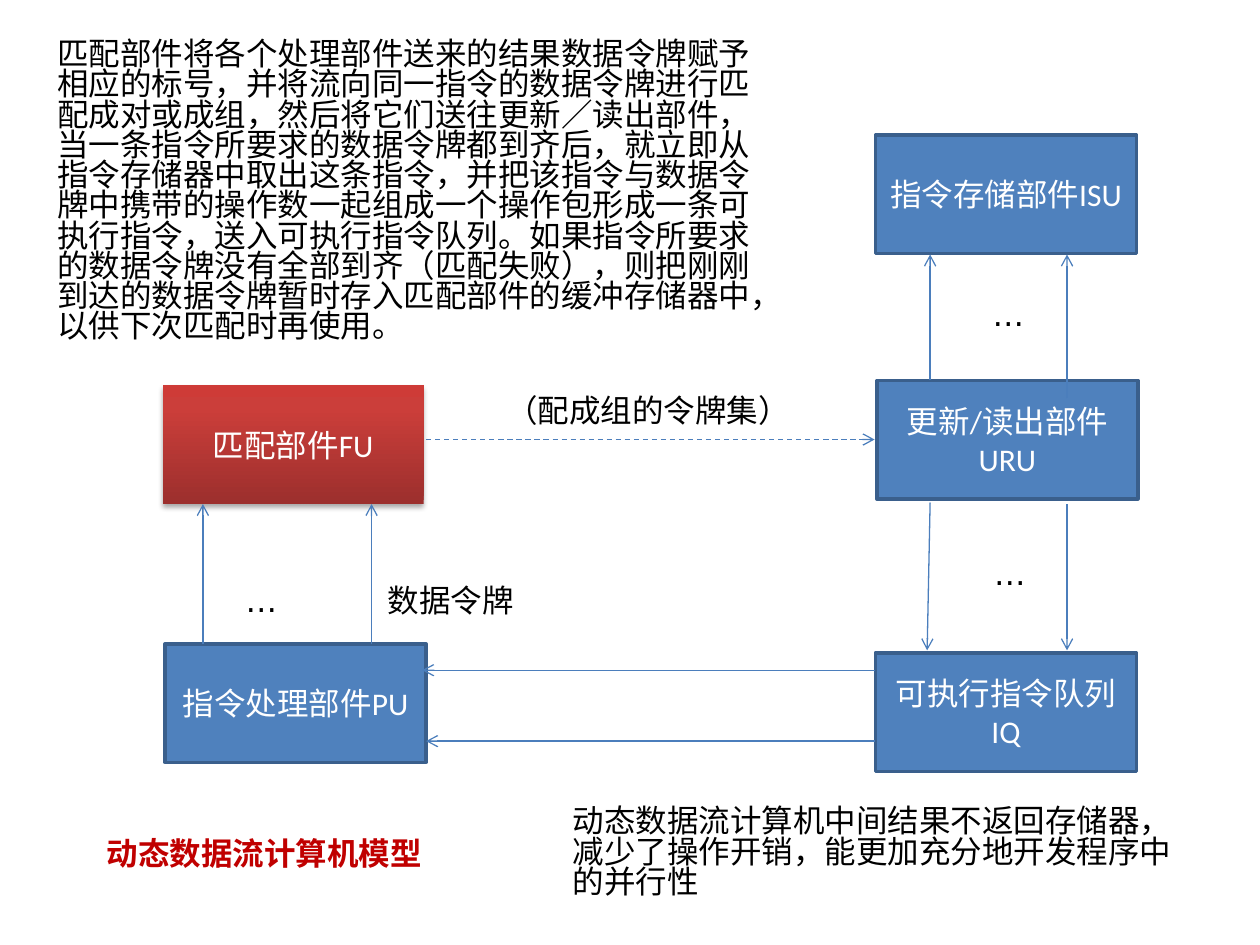
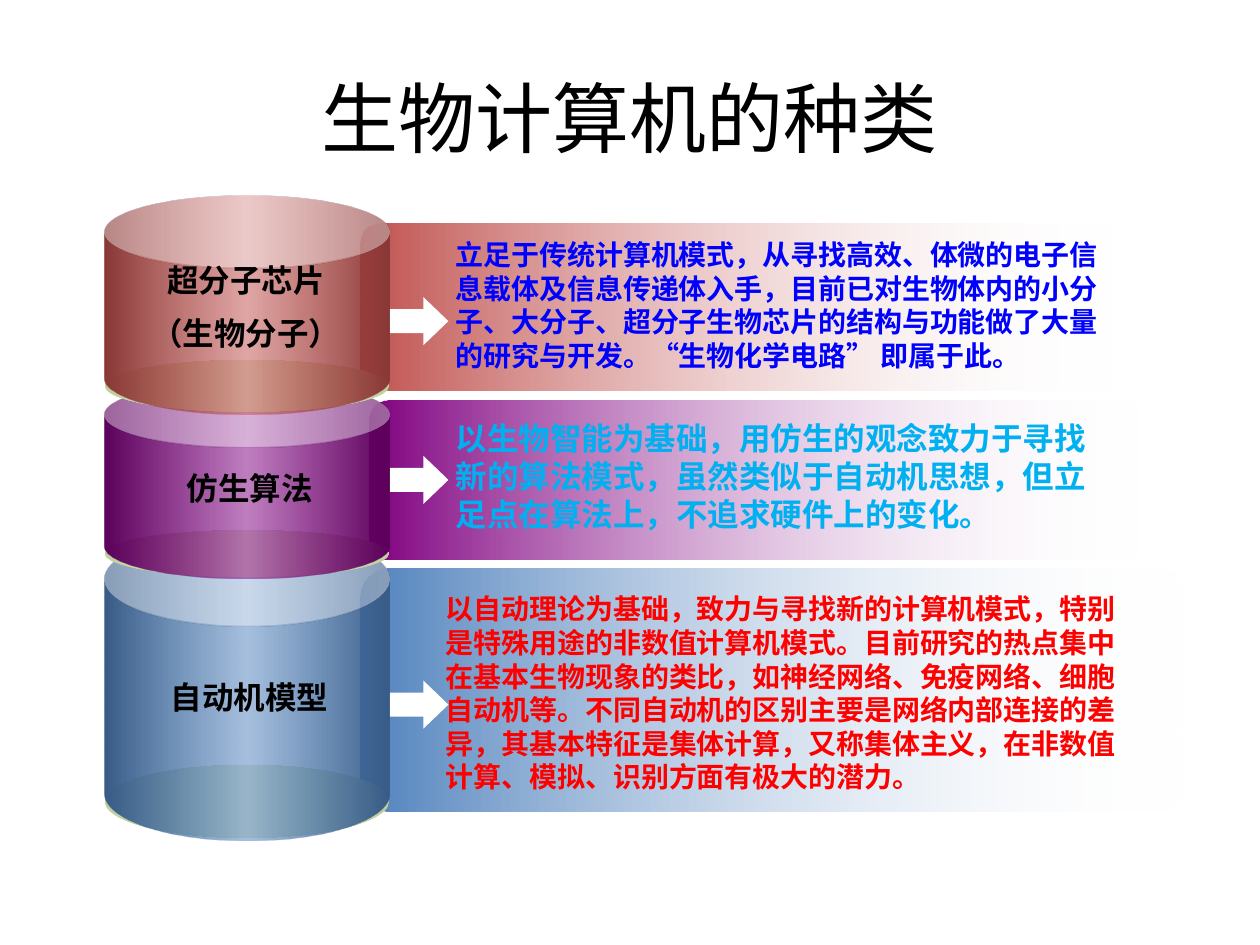
from dataclasses import dataclass
from typing import Any, NamedTuple, Optional

import lxml.etree
import pptx
import pptx.dml.color
import pptx.enum.dml
import pptx.enum.lang
import pptx.enum.shapes
import pptx.enum.text
import pptx.oxml.ns
import pptx.util

Cm = pptx.util.Cm
Pt = pptx.util.Pt
qn = pptx.oxml.ns.qn
SHAPE = pptx.enum.shapes.MSO_SHAPE
ALIGN = pptx.enum.text.PP_ALIGN
ANCHOR = pptx.enum.text.MSO_ANCHOR


# Theme: colours, fonts and type sizes
@dataclass(frozen=True)
class Theme:
    latin: str = "Calibri"
    text: str = "DejaVu Sans"
    title_size: int = 44
    body_size: int = 18
    small_size: int = 16
    black: str = "000000"
    white: str = "FFFFFF"
    blue: str = "4F81BD"
    box_edge: str = "3A5F8C"
    arrow: str = "4B7EBC"
    caption: str = "C00000"
    rim: tuple = ((0, "C1CF9D"), (50, "E5EBD5"), (100, "C1CF9D"))
    accent: tuple = ((0, "9C2F2D"), (80, "CB3E3A"), (100, "CE3B37"))


T = Theme()


# Repeated elements; all lengths in centimetres
class Rect(NamedTuple):
    x: float
    y: float
    w: float
    h: float


class Box(NamedTuple):
    text: str
    x: float
    y: float
    accent: bool = False


class Arrow(NamedTuple):
    x1: float
    y1: float
    x2: float
    y2: float
    dashed: bool = False


class Note(NamedTuple):
    text: str
    at: Rect
    wrap: bool = False
    color: str = T.black
    bold: bool = False


class Kind(NamedTuple):
    label: list
    label_at: Rect
    color: str
    edge: str
    panel: Rect
    can: Rect
    rim: Rect
    arrow_y: float
    text: str
    text_at: Rect
    text_color: str
    text_size: int


# Drawing helpers
def rgb(color: str) -> pptx.dml.color.RGBColor:
    return pptx.dml.color.RGBColor.from_string(color)


def apply(obj: Any, fmt: dict) -> None:
    for name, value in fmt.items():
        setattr(obj, name, value)


def emu(rect: Rect) -> list:
    return [Cm(v) for v in rect]


def add_shadow(parent: Any, blur: float, dist: float, angle: int, alpha: int) -> None:
    shadow = lxml.etree.SubElement(parent, qn("a:outerShdw"), blurRad=str(Pt(blur)),
                                   dist=str(Pt(dist)), dir=str(angle * 60000), rotWithShape="0")
    color = lxml.etree.SubElement(shadow, qn("a:srgbClr"), val=T.black)
    lxml.etree.SubElement(color, qn("a:alpha"), val=str(alpha * 1000))


def set_gradient(sp: Any, stops: tuple, angle: int = 0) -> None:
    """Each stop is (position, colour) or (position, colour, opacity)."""
    sp.fill.gradient()
    sp.fill.gradient_angle = angle
    gs_list = sp._element.spPr.find(qn("a:gradFill")).find(qn("a:gsLst"))
    for gs in list(gs_list):
        gs_list.remove(gs)
    for pos, color, *opacity in stops:
        gs = lxml.etree.SubElement(gs_list, qn("a:gs"), pos=str(pos * 1000))
        clr = lxml.etree.SubElement(gs, qn("a:srgbClr"), val=color)
        for value in opacity:
            lxml.etree.SubElement(clr, qn("a:alpha"), val=str(value * 1000))


def add_preset(shapes: Any, preset: Any, rect: Rect, fill: Any,
               adj: tuple = (), angle: int = 0) -> Any:
    sp = shapes.add_shape(preset, *emu(rect))
    sp.shadow.inherit = False
    sp.line.fill.background()
    for i, value in enumerate(adj):
        sp.adjustments[i] = value
    if isinstance(fill, str):
        sp.fill.solid()
        sp.fill.fore_color.rgb = rgb(fill)
    else:
        set_gradient(sp, fill, angle)
    return sp


def write(p: Any, text: str, size: int, color: str, font: str = T.text,
          bold: bool = False, shadow: bool = False, **para: Any) -> None:
    apply(p, para)
    r = p.add_run()
    r.text = text
    apply(r.font, {"size": Pt(size), "bold": bold, "name": font,
                   "language_id": pptx.enum.lang.MSO_LANGUAGE_ID.SIMPLIFIED_CHINESE})
    r.font.color.rgb = rgb(color)
    if shadow:
        effects = lxml.etree.Element(qn("a:effectLst"))
        r.font._element.find(qn("a:solidFill")).addnext(effects)
        add_shadow(effects, 0, 1.5, 45, 60)


def add_text(slide: Any, lines: list, rect: Rect, size: int, color: str,
             wrap: bool = True, gap: Optional[int] = None, **fmt: Any) -> None:
    tf = slide.shapes.add_textbox(*emu(rect)).text_frame
    apply(tf, {"word_wrap": wrap,
               "auto_size": pptx.enum.text.MSO_AUTO_SIZE.SHAPE_TO_FIT_TEXT})
    for i, line in enumerate(lines):
        p = tf.add_paragraph() if i else tf.paragraphs[0]
        if i and gap:
            p.space_before = Pt(gap)
        write(p, line, size, color, **fmt)


def add_box(slide: Any, box: Box) -> None:
    sp = add_preset(slide.shapes, SHAPE.RECTANGLE, Rect(box.x, box.y, 5.26, 2.39),
                    T.accent if box.accent else T.blue, angle=90)
    if box.accent:
        add_shadow(sp._element.spPr.find(qn("a:effectLst")), 3.1, 1.8, 90, 35)
    else:
        sp.line.color.rgb = rgb(T.box_edge)
        sp.line.width = Pt(2)
    tf = sp.text_frame
    apply(tf, {"word_wrap": True, "vertical_anchor": ANCHOR.MIDDLE})
    write(tf.paragraphs[0], box.text, T.body_size, T.white, T.latin, alignment=ALIGN.CENTER)


def add_arrow(slide: Any, a: Arrow) -> None:
    cxn = slide.shapes.add_connector(pptx.enum.shapes.MSO_CONNECTOR.STRAIGHT,
                                     Cm(a.x1), Cm(a.y1), Cm(a.x2), Cm(a.y2))
    cxn.line.color.rgb = rgb(T.arrow)
    cxn.line.width = Pt(0.75)
    if a.dashed:
        cxn.line.dash_style = pptx.enum.dml.MSO_LINE.DASH
    lxml.etree.SubElement(cxn.line._get_or_add_ln(), qn("a:tailEnd"), type="arrow")
    lxml.etree.SubElement(cxn._element.spPr, qn("a:effectLst"))


# Slide 1: dynamic data-flow model
BOXES = [
    Box("更新/读出部件URU", 17.68, 7.67),
    Box("可执行指令队列IQ", 17.65, 13.16),
    Box("指令存储部件ISU", 17.65, 2.72),
    Box("指令处理部件PU", 3.33, 12.98),
    Box("匹配部件FU", 3.28, 7.77, accent=True),
]
ARROWS = [
    Arrow(4.09, 12.98, 4.09, 10.16),
    Arrow(7.49, 12.98, 7.49, 10.16),
    Arrow(17.63, 13.51, 8.51, 13.51),
    Arrow(17.63, 14.94, 8.59, 14.94),
    Arrow(18.75, 10.13, 18.69, 13.11),
    Arrow(21.51, 10.16, 21.51, 13.11),
    Arrow(18.75, 7.67, 18.75, 5.13),
    Arrow(21.51, 8.03, 21.51, 5.13),
    Arrow(8.59, 8.86, 17.63, 8.86, dashed=True),
]
NOTES = [
    Note("动态数据流计算机模型", Rect(1.9, 16.69, 7.19, 1.02), color=T.caption, bold=True),
    Note("匹配部件将各个处理部件送来的结果数据令牌赋予相应的标号，并将流向同一指令的数据令牌"
         "进行匹配成对或成组，然后将它们送往更新／读出部件，当一条指令所要求的数据令牌都到齐后，"
         "就立即从指令存储器中取出这条指令，并把该指令与数据令牌中携带的操作数一起组成一个操作包"
         "形成一条可执行指令，送入可执行指令队列。如果指令所要求的数据令牌没有全部到齐（匹配失败），"
         "则把刚刚到达的数据令牌暂时存入匹配部件的缓冲存储器中，以供下次匹配时再使用。",
         Rect(0.91, 0.71, 14.99, 6.4), wrap=True),
    Note("动态数据流计算机中间结果不返回存储器，减少了操作开销，能更加充分地开发程序中的并行性",
         Rect(11.3, 16.18, 12.7, 2.11), wrap=True),
    Note("数据令牌", Rect(7.57, 11.58, 3.07, 1.02)),
    Note("（配成组的令牌集）", Rect(9.96, 7.75, 6.27, 1.02)),
    *(Note("…", Rect(x, y, 1.04, 1.02))
      for x, y in ((4.7, 11.58), (19.79, 11.05), (19.76, 5.82))),
]


def build_dataflow(prs: Any) -> None:
    s = prs.slides.add_slide(prs.slide_layouts[6])
    for box in BOXES:
        add_box(s, box)
    for arrow in ARROWS:
        add_arrow(s, arrow)
    for n in NOTES:
        add_text(s, [n.text], n.at, T.body_size, n.color, n.wrap, bold=n.bold,
                 line_spacing=0.8 if n.wrap else None)


# Slide 2: kinds of biological computer, top to bottom
CAN_X, CAN_W = 2.11, 5.74
KINDS = [
    Kind(["超分子芯片", "（生物分子）"], Rect(2.29, 5.13, 5.33, 1.68), "C0504D", "893937",
         Rect(7.26, 4.5, 15.24, 3.38), Rect(CAN_X, 3.94, CAN_W, 4.42),
         Rect(CAN_X, 7.26, CAN_W, 1.04), 5.99,
         "立足于传统计算机模式，从寻找高效、体微的电子信息载体及信息传递体入手，目前已对生物体内的"
         "小分子、大分子、超分子生物芯片的结构与功能做了大量的研究与开发。“生物化学电路” 即属于此。",
         Rect(8.94, 4.67, 13.67, 3), "0000FF", T.small_size),
    Kind(["仿生算法"], Rect(2.37, 9.33, 5.33, 0.97), "800080", "5C005C",
         Rect(7.44, 8.08, 15.62, 3.2), Rect(CAN_X, 7.7, CAN_W, 3.96),
         Rect(CAN_X, 10.69, CAN_W, 0.94), 9.19,
         "以生物智能为基础，用仿生的观念致力于寻找新的算法模式，虽然类似于自动机思想，"
         "但立足点在算法上，不追求硬件上的变化。",
         Rect(8.94, 8.33, 13.21, 2.57), "00B0F0", T.body_size),
    Kind(["自动机模型"], Rect(2.37, 13.54, 5.33, 0.97), T.blue, "395C87",
         Rect(7.26, 11.46, 16.64, 4.9), Rect(CAN_X, 10.72, CAN_W, 6.22),
         Rect(CAN_X, 15.42, CAN_W, 1.47), 13.72,
         "以自动理论为基础，致力与寻找新的计算机模式，特别是特殊用途的非数值计算机模式。目前研究的"
         "热点集中在基本生物现象的类比，如神经网络、免疫网络、细胞自动机等。不同自动机的区别主要是"
         "网络内部连接的差异，其基本特征是集体计算，又称集体主义，在非数值计算、模拟、识别方面有"
         "极大的潜力。",
         Rect(8.74, 11.81, 14.33, 4.37), "FF0000", T.small_size),
]


def add_title(slide: Any, text: str) -> None:
    title = slide.shapes.title
    apply(title, dict(zip(("left", "top", "width", "height"),
                          emu(Rect(1.27, 0.76, 22.86, 3.18)))))
    title.text_frame.vertical_anchor = ANCHOR.MIDDLE
    write(title.text_frame.paragraphs[0], text, T.title_size, T.black, T.latin,
          alignment=ALIGN.CENTER)


def build_kinds(prs: Any) -> None:
    s = prs.slides.add_slide(prs.slide_layouts[5])
    add_title(s, "生物计算机的种类")
    # Fading panels with arrows and descriptions
    for k in KINDS:
        add_preset(s.shapes, SHAPE.ROUNDED_RECTANGLE, k.panel,
                   ((0, k.color), (100, T.white, 0)), adj=(0.115,))
        add_preset(s.shapes, SHAPE.RIGHT_ARROW, Rect(7.82, k.arrow_y, 1.22, 0.97),
                   T.white, adj=(0.5, 0.519))
        add_text(s, [k.text], k.text_at, k.text_size, k.text_color, bold=True)
    # Cylinders stacked from the bottom up
    for k in reversed(KINDS):
        group = s.shapes.add_group_shape()
        add_preset(group.shapes, SHAPE.OVAL, k.rim, T.rim)
        add_preset(group.shapes, SHAPE.CAN, k.can,
                   ((0, k.edge), (50, k.color, 50), (100, k.edge)), adj=(0.332,))
    for k in KINDS:
        add_text(s, k.label, k.label_at, T.body_size, T.black, gap=9, bold=True,
                 shadow=True, alignment=ALIGN.CENTER)


def main() -> None:
    prs = pptx.Presentation()
    apply(prs, {"slide_width": Cm(25.4), "slide_height": Cm(19.05)})
    build_dataflow(prs)
    build_kinds(prs)
    prs.save("out.pptx")


if __name__ == "__main__":
    main()
